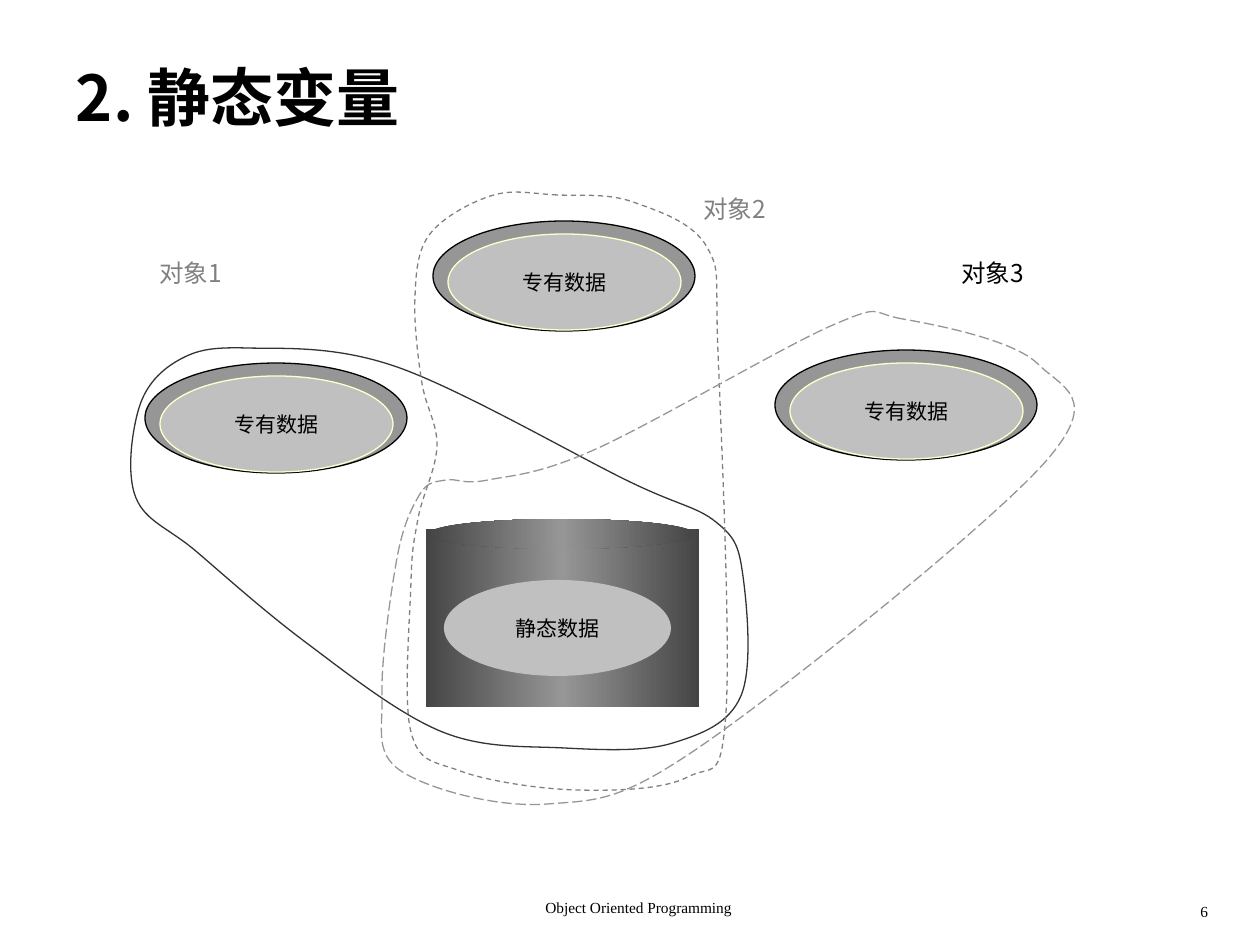
from copy import deepcopy
from lxml.etree import SubElement
from pptx import Presentation
from pptx.dml.color import RGBColor
from pptx.enum.dml import MSO_LINE_DASH_STYLE as DASH
from pptx.enum.shapes import MSO_SHAPE as SHAPE
from pptx.enum.text import MSO_ANCHOR as ANCHOR, MSO_AUTO_SIZE as AUTO, PP_ALIGN as ALIGN
from pptx.oxml.ns import qn
from pptx.util import Emu, Pt

SCALE = 914400 / 126
CJK, LATIN = "Noto Sans CJK SC", "Times New Roman"
COLORS = {"black": "000000", "dark": "333333", "gray": "808080", "ring": "969696",
          "silver": "C0C0C0", "cream": "FFFFCC", "shade": "454545"}

TITLE = "2. 静态变量"
FOOTERS = [
    ("Object Oriented Programming ", (441, 896, 399, 33), ALIGN.CENTER),
    ("6", (958, 900, 263, 33), ALIGN.RIGHT),
]
STATIC_LABEL, PRIVATE_LABEL = "静态数据", "专有数据"
OBJECTS = [
    {"name": "对象1", "label_at": (149, 253), "label_color": "gray", "data_at": (145, 363),
     "line": "dark", "dash": None,
     "knots": [(247, 348), (179, 360), (139, 408), (136, 498), (197, 552), (304, 641),
               (440, 731), (564, 748), (673, 743), (741, 696), (743, 576), (716, 522),
               (626, 480), (397, 367)]},
    {"name": "对象2", "label_at": (693, 189), "label_color": "gray", "data_at": (433, 221),
     "line": "gray", "dash": DASH.DASH,
     "knots": [(557, 195), (494, 195), (430, 234), (415, 299), (422, 383), (437, 447),
               (418, 519), (411, 583), (411, 732), (460, 771), (576, 790), (688, 777),
               (726, 713), (718, 350), (707, 247), (633, 202)]},
    {"name": "对象3", "label_at": (951, 253), "label_color": "black", "data_at": (775, 350),
     "line": "ring", "dash": DASH.LONG_DASH,
     "knots": [(903, 319), (833, 325), (596, 449), (488, 480), (446, 480), (420, 494),
               (397, 558), (382, 694), (401, 771), (547, 804), (701, 746), (1046, 461),
               (1038, 364)]},
]


def px(value):
    return Emu(round(value * SCALE))


def rgb(name):
    return RGBColor.from_string(COLORS[name])


def write(shape, text, size, color="black", font=CJK, align=ALIGN.LEFT,
          anchor=ANCHOR.TOP, inset=(10, 5), bold=False):
    frame = shape.text_frame
    frame.text = text
    frame.word_wrap = True
    frame.auto_size = AUTO.NONE
    frame.vertical_anchor = anchor
    frame.margin_left = frame.margin_right = px(inset[0])
    frame.margin_top = frame.margin_bottom = px(inset[1])
    para = frame.paragraphs[0]
    para.alignment = align
    span = para.runs[0]
    span.font.size, span.font.bold, span.font.name = Pt(size), bold, font
    span.font.color.rgb = rgb(color)
    SubElement(span.font._element, qn("a:ea"), typeface=font)
    return para


def add_text(page, rect, *args, **options):
    box = page.shapes.add_textbox(*map(px, rect))
    return write(box, *args, **options)


def style_line(shape, color, dash=None):
    shape.shadow.inherit = False
    if color is None:
        shape.line.fill.background()
        return
    shape.line.color.rgb = rgb(color)
    shape.line.width = Pt(0.75)
    if dash:
        shape.line.dash_style = dash


def add_solid(page, kind, rect, fill=None, line=None, text=None):
    shape = page.shapes.add_shape(kind, *map(px, rect))
    style_line(shape, line)
    if fill:
        shape.fill.solid()
        shape.fill.fore_color.rgb = rgb(fill)
    else:
        shade_sides(shape)
    if text:
        write(shape, text, 12, align=ALIGN.CENTER, anchor=ANCHOR.MIDDLE)


def shade_sides(shape):
    shape.fill.gradient()
    shape.fill.gradient_angle = 0
    first = shape.fill.gradient_stops[0]._gs
    first.addnext(deepcopy(first))
    stops = zip(shape.fill.gradient_stops, (0, 0.5, 1), ("shade", "ring", "shade"))
    for stop, position, color in stops:
        stop.position = position
        stop.color.rgb = rgb(color)


def add_loop(page, knots, color, dash):
    builder = page.shapes.build_freeform(*knots[0], scale=SCALE)
    builder.add_line_segments(knots[1:] + knots[:1], close=True)
    loop = builder.convert_to_shape()
    loop.fill.background()
    style_line(loop, color, dash)
    left, top = (min(axis) for axis in zip(*knots))
    segments = list(loop._element.iter(qn("a:lnTo")))
    count = len(knots)
    for index, segment in enumerate(segments):
        before, start, end, after = (knots[(index + step) % count] for step in (-1, 0, 1, 2))
        leaving = [s + (e - b) / 6 for b, s, e in zip(before, start, end)]
        arriving = [e - (a - s) / 6 for s, e, a in zip(start, end, after)]
        segment.tag = qn("a:cubicBezTo")
        target = segment[0]
        unit = int(target.get("x")) / (end[0] - left) if end[0] > left else 1
        for x, y in (leaving, arriving):
            point = deepcopy(target)
            point.set("x", str(round((x - left) * unit)))
            point.set("y", str(round((y - top) * unit)))
            target.addprevious(point)


def main():
    deck = Presentation()
    deck.slide_width, deck.slide_height = px(1260), px(945)
    page = deck.slides.add_slide(deck.slide_layouts[5])

    title = page.shapes.title
    title.left, title.top, title.width, title.height = map(px, (63, 53, 1103, 199))
    write(title, TITLE, 36, inset=(13, 6), bold=True)

    for text, rect, align in FOOTERS:
        para = add_text(page, rect, text, 8.8, font=LATIN, align=align, inset=(13, 6))
        para.line_spacing = 0.8

    add_solid(page, SHAPE.RECTANGLE, (426, 529, 273, 178))
    add_solid(page, SHAPE.OVAL, (444, 580, 227, 96), "silver", text=STATIC_LABEL)
    add_solid(page, SHAPE.OVAL, (428, 519, 267, 30))

    for item in OBJECTS:
        x, y = item["data_at"]
        add_loop(page, item["knots"], item["line"], item["dash"])
        add_solid(page, SHAPE.OVAL, (x, y, 262, 110), "ring", "black")
        add_solid(page, SHAPE.OVAL, (x + 15, y + 13, 233, 96), "silver", "cream", PRIVATE_LABEL)
        add_text(page, (*item["label_at"], 146, 84), item["name"], 14,
                 item["label_color"], align=ALIGN.JUSTIFY)

    deck.save("out.pptx")


if __name__ == "__main__":
    main()
